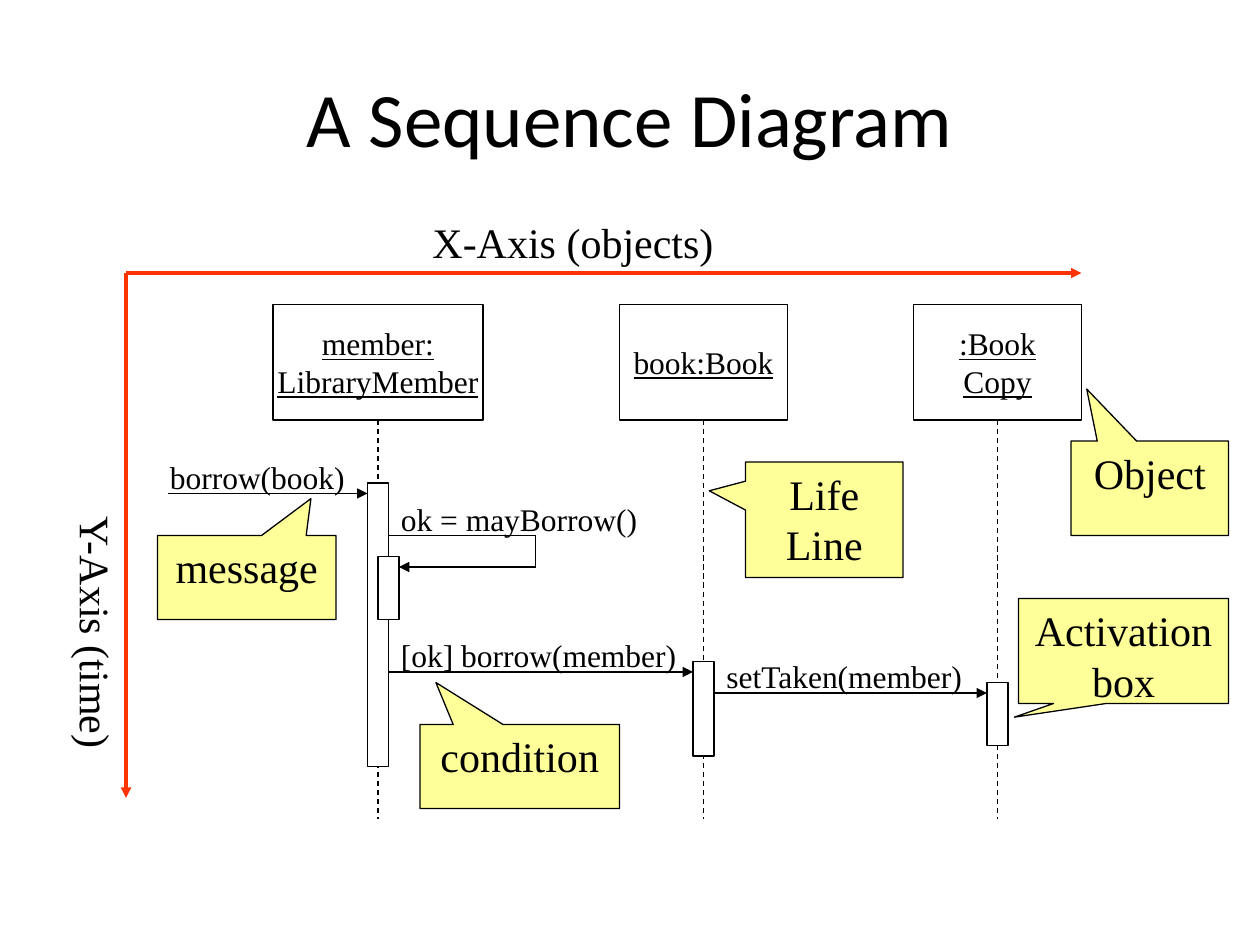
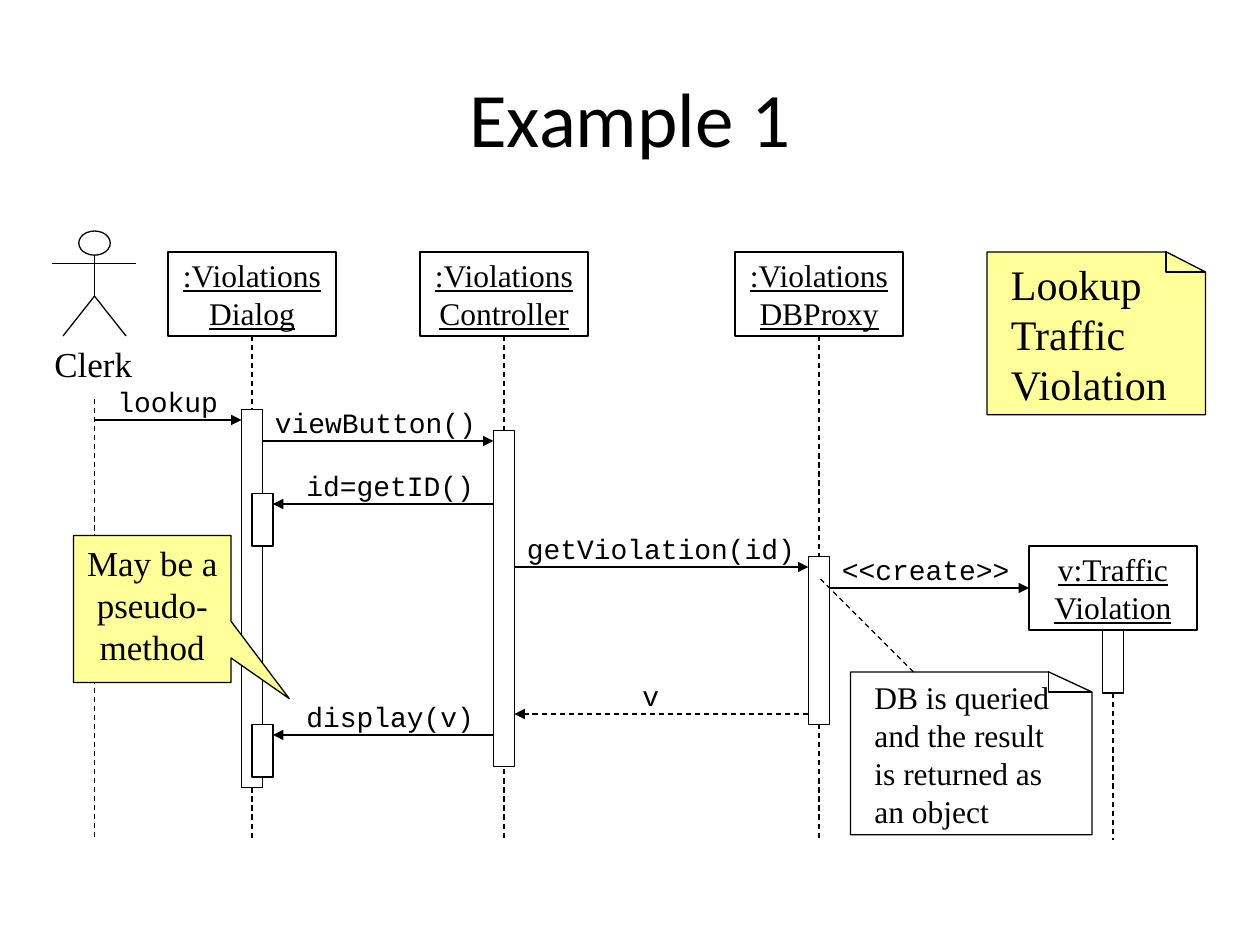
from dataclasses import dataclass
from typing import Optional

from lxml import etree
from pptx import Presentation
from pptx.dml.color import RGBColor
from pptx.enum.dml import MSO_LINE
from pptx.enum.shapes import MSO_CONNECTOR, MSO_SHAPE
from pptx.enum.text import MSO_ANCHOR, MSO_AUTO_SIZE, PP_ALIGN
from pptx.oxml.ns import qn
from pptx.util import Cm, Pt

DASH = MSO_LINE.DASH
STRAIGHT, ELBOW = MSO_CONNECTOR.STRAIGHT, MSO_CONNECTOR.ELBOW
RECTANGLE, OVAL = MSO_SHAPE.RECTANGLE, MSO_SHAPE.OVAL
CALLOUT = MSO_SHAPE.RECTANGULAR_CALLOUT
TOP, MIDDLE = MSO_ANCHOR.TOP, MSO_ANCHOR.MIDDLE
LEFT, CENTER = PP_ALIGN.LEFT, PP_ALIGN.CENTER
FIT_SHAPE = MSO_AUTO_SIZE.SHAPE_TO_FIT_TEXT
LEFT_SIDE, BOTTOM_SIDE = 1, 2
TITLE_ONLY = 5


@dataclass(frozen=True)
class TextStyle:
    font: str
    size: int
    underline: bool = False


@dataclass(frozen=True)
class Theme:
    ink: RGBColor = RGBColor(0, 0, 0)
    paper: RGBColor = RGBColor(255, 255, 255)
    highlight: RGBColor = RGBColor(0xFF, 0xFF, 0x99)
    axis: RGBColor = RGBColor(0xFF, 0x33, 0)
    thin: float = 0.75
    title: TextStyle = TextStyle("Calibri", 44)
    large: TextStyle = TextStyle("Times New Roman", 24)
    medium: TextStyle = TextStyle("Times New Roman", 20)
    small: TextStyle = TextStyle("Times New Roman", 18)
    object_name: TextStyle = TextStyle("Times New Roman", 18, True)
    code: TextStyle = TextStyle("Courier New", 16)


THEME = Theme()


# All diagram positions are counted in steps of a twelfth of an inch
@dataclass(frozen=True)
class Participant:
    name: str
    left: float
    top: float
    width: float
    height: float
    lifeline_end: float


@dataclass(frozen=True)
class Activation:
    center: float
    top: float
    height: float


@dataclass(frozen=True)
class Message:
    text: str
    start: float
    end: float
    y: float
    label_left: float
    label_width: float
    dashed: bool = False


@dataclass(frozen=True)
class Callout:
    text: str
    left: float
    top: float
    width: float
    height: float
    tip: tuple[float, float]


@dataclass(frozen=True)
class Note:
    text: str
    left: float
    top: float
    width: float
    fold: float
    fill: Optional[RGBColor] = None
    height: float = 15.5
    fold_height: float = 1.9


def grid(steps: float) -> Cm:
    return Cm(steps * 2.54 / 12)


def format_text(shape, text: str, style: TextStyle, alignment=LEFT, anchor=TOP, wrap: bool = False) -> None:
    frame = shape.text_frame
    frame.text = text
    frame.word_wrap = wrap
    frame.vertical_anchor = anchor
    for paragraph in frame.paragraphs:
        paragraph.alignment = alignment
        for run in paragraph.runs:
            run.font.name = style.font
            run.font.size = Pt(style.size)
            run.font.underline = style.underline or None
            run.font.color.rgb = THEME.ink


def paint(shape, fill: Optional[RGBColor]) -> None:
    shape.shadow.inherit = False
    if fill is None:
        shape.fill.background()
    else:
        shape.fill.solid()
        shape.fill.fore_color.rgb = fill
    shape.line.color.rgb = THEME.ink
    shape.line.width = Pt(THEME.thin)


def add_box(slide, kind, left: float, top: float, width: float, height: float, fill: Optional[RGBColor] = None):
    shape = slide.shapes.add_shape(kind, grid(left), grid(top), grid(width), grid(height))
    paint(shape, fill)
    return shape


def add_line(slide, x1: float, y1: float, x2: float, y2: float, arrow: bool = False, dashed: bool = False,
             color: RGBColor = THEME.ink, width: float = THEME.thin, kind=STRAIGHT):
    line = slide.shapes.add_connector(kind, grid(x1), grid(y1), grid(x2), grid(y2))
    line.line.color.rgb = color
    line.line.width = Pt(width)
    if dashed:
        line.line.dash_style = DASH
    properties = line._element.spPr
    if arrow:
        etree.SubElement(properties.find(qn("a:ln")), qn("a:tailEnd"), type="triangle")
    etree.SubElement(properties, qn("a:effectLst"))
    return line


def add_label(slide, text: str, left: float, top: float, width: float, height: float, style: TextStyle,
              wrap: bool = False):
    label = slide.shapes.add_textbox(grid(left), grid(top), grid(width), grid(height))
    format_text(label, text, style, wrap=wrap)
    if not wrap:
        label.text_frame.auto_size = FIT_SHAPE
    return label


def add_participant(slide, item: Participant):
    box = add_box(slide, RECTANGLE, item.left, item.top, item.width, item.height)
    format_text(box, item.name, THEME.object_name, CENTER, MIDDLE)
    center = item.left + item.width / 2
    lifeline = add_line(slide, center, item.top + item.height, center, item.lifeline_end, dashed=True)
    lifeline.begin_connect(box, BOTTOM_SIDE)
    return box


def add_activation(slide, item: Activation) -> None:
    add_box(slide, RECTANGLE, item.center - 1, item.top, 2, item.height, THEME.paper)


def add_message(slide, item: Message, style: TextStyle):
    arrow = add_line(slide, item.start, item.y, item.end, item.y, arrow=True, dashed=item.dashed)
    add_label(slide, item.text, item.label_left, item.y - 4, item.label_width, 4.6, style)
    return arrow


def add_callout(slide, item: Callout, style: TextStyle) -> None:
    shape = add_box(slide, CALLOUT, item.left, item.top, item.width, item.height, THEME.highlight)
    shape.adjustments[0], shape.adjustments[1] = item.tip
    format_text(shape, item.text, style, CENTER, wrap=True)


def add_note(slide, item: Note, style: TextStyle) -> None:
    right, bottom = item.left + item.width, item.top + item.height
    fold_left, fold_bottom = right - item.fold, item.top + item.fold_height
    corners = [(item.left, bottom), (right, bottom), (right, fold_bottom), (fold_left, item.top)]
    builder = slide.shapes.build_freeform(grid(item.left), grid(item.top))
    builder.add_line_segments([(grid(x), grid(y)) for x, y in corners], close=True)
    paint(builder.convert_to_shape(), item.fill)
    # The fold drops straight down, then runs to the right edge
    fold = add_line(slide, fold_left, item.top, right, fold_bottom, kind=ELBOW)
    geometry = fold._element.spPr.find(qn("a:prstGeom"))
    etree.SubElement(geometry.find(qn("a:avLst")), qn("a:gd"), name="adj1", fmla="val -1700")
    add_label(slide, item.text, item.left + 1.1, item.top, item.width - 2.3, 17, style, wrap=True)


def add_actor(slide, name: str, center: float) -> None:
    shoulder, waist, feet = 25.1, 28.2, 32
    for side in (-3, 3):
        add_line(slide, center + side, feet, center, waist)
    add_line(slide, center, waist, center, 24.3)
    add_line(slide, center - 4, shoulder, center + 4, shoulder)
    add_box(slide, OVAL, center - 1.5, 22, 3, 2.3)
    add_label(slide, name, center - 5, feet, 9.8, 5.2, THEME.medium)
    add_line(slide, center, 38, center, 80, dashed=True)


def add_titled_slide(presentation, title: str):
    slide = presentation.slides.add_slide(presentation.slide_layouts[TITLE_ONLY])
    shape = slide.shapes.title
    shape.left, shape.top, shape.width, shape.height = grid(6), grid(3.6), grid(108), grid(15)
    format_text(shape, title, THEME.title, CENTER, MIDDLE, wrap=True)
    return slide


def build_sequence_slide(presentation) -> None:
    slide = add_titled_slide(presentation, "A Sequence Diagram")
    for participant in (
        Participant("member:\vLibraryMember", 26, 29, 20, 11, 78),
        Participant("book:Book", 59, 29, 16, 11, 78),
        Participant(":Book\vCopy", 87, 29, 16, 11, 78),
    ):
        add_participant(slide, participant)
    for activation in (Activation(36, 46, 27), Activation(37, 53, 6),
                       Activation(67, 63, 9), Activation(95, 65, 6)):
        add_activation(slide, activation)
    for message in (
        Message("borrow(book)", 16, 35, 47, 15, 19.1),
        Message("[ok] borrow(member)", 37, 66, 64, 37, 28.7),
        Message("setTaken(member)", 68, 94, 66, 68, 25.1),
    ):
        add_message(slide, message, THEME.small)

    # Call from the member to itself
    add_line(slide, 37, 51, 51, 51)
    add_line(slide, 51, 51, 51, 54)
    add_line(slide, 51, 54, 38, 54, arrow=True)
    add_label(slide, "ok = mayBorrow()", 37, 47, 25, 4.6, THEME.small)

    # Axes
    add_line(slide, 12, 26, 103, 26, arrow=True, color=THEME.axis, width=1.75)
    add_line(slide, 12, 26, 12, 76, arrow=True, color=THEME.axis, width=2)
    add_label(slide, "X-Axis (objects)", 40, 20, 29.2, 6, THEME.large)
    time_label = add_label(slide, "Y-Axis (time)", 5, 48, 7.2, 23.8, THEME.large)
    time_label.text_frame._txBody.bodyPr.set("vert", "eaVert")

    for callout in (
        Callout("Object", 102, 42, 15, 9, (-0.4, -1.05)),
        Callout("Life Line", 71, 44, 15, 11, (-0.73, -0.25)),
        Callout("message", 15, 51, 17, 8, (0.36, -0.94)),
        Callout("Activation box", 97, 57, 20, 10, (-0.52, 0.63)),
        Callout("condition", 40, 69, 19, 8, (-0.42, -1)),
    ):
        add_callout(slide, callout, THEME.large)


def build_example_slide(presentation) -> None:
    slide = add_titled_slide(presentation, "Example 1")
    add_actor(slide, "Clerk", 9)
    for name, left in ((":Violations\vDialog", 16), (":Violations\vController", 40),
                       (":Violations\vDBProxy", 70)):
        add_participant(slide, Participant(name, left, 24, 16, 8, 80))
    violation = add_participant(slide, Participant("v:Traffic\vViolation", 98, 52, 16, 8, 80))
    for activation in (
        Activation(24, 39, 36), Activation(25, 47, 5), Activation(25, 69, 5),
        Activation(48, 41, 32), Activation(78, 53, 16), Activation(106, 60, 6),
    ):
        add_activation(slide, activation)
    for message in (
        Message("lookup", 9, 23, 40, 10, 12),
        Message("viewButton()", 25, 47, 42, 25, 21.7),
        Message("id=getID()", 47, 26, 48, 28, 18.5),
        Message("getViolation(id)", 49, 77, 54, 49, 28.1),
        Message("v", 77, 49, 68, 60, 4.1, dashed=True),
        Message("display(v)", 47, 26, 70, 28, 18.5),
    ):
        add_message(slide, message, THEME.code)
    creation = add_message(slide, Message("<<create>>", 79, 98, 56, 79, 18.5), THEME.code)
    creation.end_connect(violation, LEFT_SIDE)

    # Notes and remarks
    add_note(slide, Note("Lookup Traffic Violation", 94, 24, 20.8, 3.7, THEME.highlight), THEME.large)
    add_callout(slide, Callout("May be a pseudo-method", 7, 51, 15, 14, (0.87, 0.61)), THEME.medium)
    add_note(slide, Note("DB is queried and the result is returned as an object", 81, 64, 23, 4.1), THEME.small)
    add_line(slide, 87, 64, 78, 55, dashed=True)


def main() -> None:
    presentation = Presentation()
    presentation.slide_width, presentation.slide_height = Cm(25.4), Cm(19.05)
    build_sequence_slide(presentation)
    build_example_slide(presentation)
    presentation.save("out.pptx")


if __name__ == "__main__":
    main()
